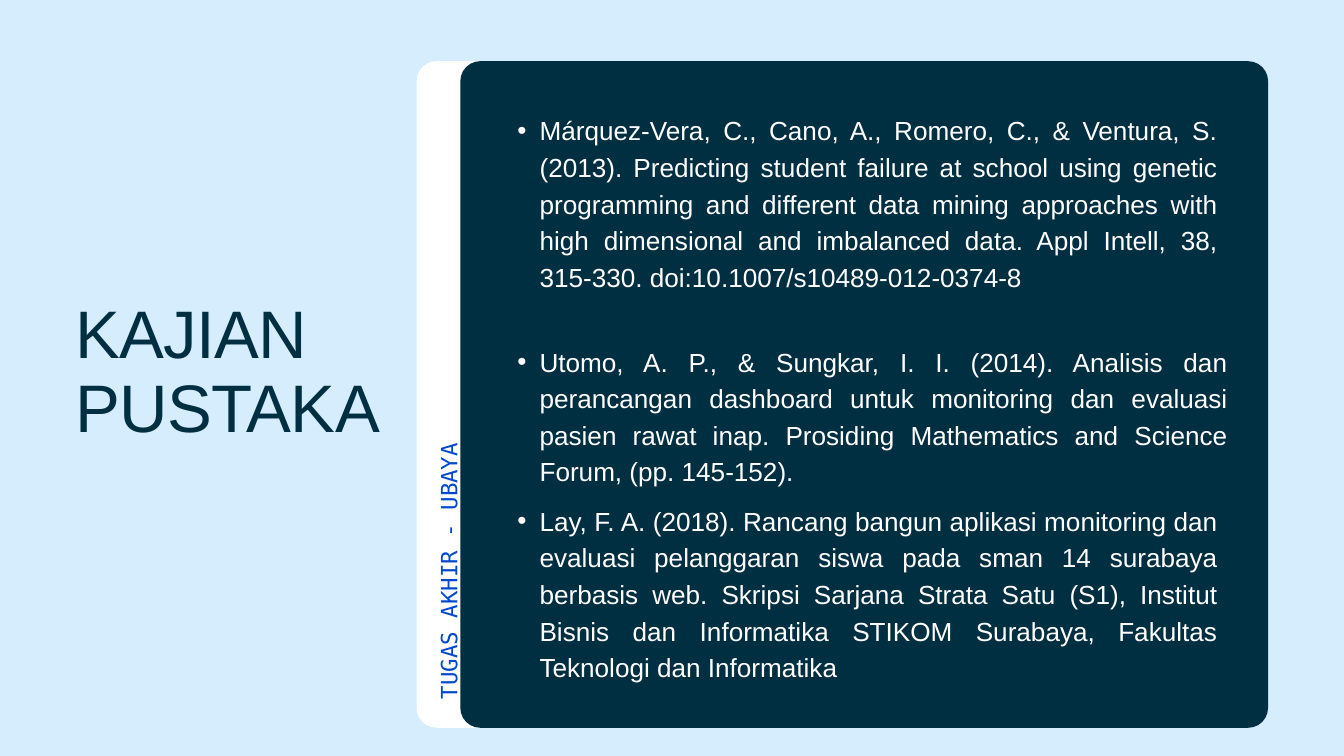
"""Build the literature review slide: a title, a side label and three references."""
from lxml import etree
from pptx import Presentation, util as u
from pptx.dml.color import RGBColor
from pptx.enum import shapes, text
from pptx.oxml.ns import qn

WIDE, HIGH = 20, 11.25
HUES = {"sky": "D5EDFC", "navy": "002F42", "white": "FFFFFF", "blue": "0048CD"}

TITLE = ["KAJIAN", "PUSTAKA"]
LABEL = ["TUGAS AKHIR - UBAYA"]
# Left, top, width and height are percentages of the slide.
PANELS = [("white", 31, 62.65), ("navy", 34.25, 60.1)]
REFS = [
    ("Utomo, A. P., & Sungkar, I. I. (2014). Analisis dan perancangan dashboard untuk "
     "monitoring dan evaluasi pasien rawat inap. Prosiding Mathematics and Science Forum, "
     "(pp. 145-152).", 45.07, 54.45, 19.02),
    ("Márquez-Vera, C., Cano, A., Romero, C., & Ventura, S. (2013). Predicting student "
     "failure at school using genetic programming and different data mining approaches with "
     "high dimensional and imbalanced data. Appl Intell, 38, 315-330. "
     "doi:10.1007/s10489-012-0374-8", 14.49, 53.7, 28.71),
    ("Lay, F. A. (2018). Rancang bangun aplikasi monitoring dan evaluasi pelanggaran siswa "
     "pada sman 14 surabaya berbasis web. Skripsi Sarjana Strata Satu (S1), Institut Bisnis "
     "dan Informatika STIKOM Surabaya, Fakultas Teknologi dan Informatika", 66.13, 53.7, 23.82),
]


def hue(name):
    return RGBColor.from_string(HUES[name])


def place(left, top, width, height):
    return [u.Inches(share * side / 100)
            for share, side in zip((left, top, width, height), (WIDE, HIGH, WIDE, HIGH))]


def panel(slide, color, left, width):
    card = slide.shapes.add_shape(shapes.MSO_SHAPE.ROUNDED_RECTANGLE,
                                  *place(left, 8.09, width, 88.18))
    card.adjustments[0] = 0.03
    card.shadow.inherit = False
    card.fill.solid()
    card.fill.fore_color.rgb = hue(color)
    card.line.fill.background()


def write(slide, lines, area, size, lead, color, face="Arial"):
    box = slide.shapes.add_textbox(*place(*area))
    frame = box.text_frame
    frame.word_wrap = True
    frame.margin_left = frame.margin_top = frame.margin_right = frame.margin_bottom = 0
    frame.text = "\n".join(lines)
    for para in frame.paragraphs:
        para.line_spacing = u.Pt(lead)
        for run in para.runs:
            run.font.size = u.Pt(size)
            run.font.name = face
            run.font.color.rgb = hue(color)
    return box


def bullet(para):
    para.level = 1
    para.alignment = text.PP_ALIGN.JUSTIFY
    props = para._p.get_or_add_pPr()
    props.set("marL", str(u.Inches(0.66)))
    props.set("indent", str(u.Inches(-0.33)))
    etree.SubElement(props, qn("a:buFont")).set("typeface", "Arial")
    etree.SubElement(props, qn("a:buChar")).set("char", "•")


def main():
    deck = Presentation()
    deck.slide_width, deck.slide_height = u.Inches(WIDE), u.Inches(HIGH)
    slide = deck.slides.add_slide(deck.slide_layouts[6])
    slide.background.fill.solid()
    slide.background.fill.fore_color.rgb = hue("sky")

    title = write(slide, TITLE, (5.6, 39.38, 31.2, 19.73), 72, 79.2, "navy")
    for para in title.text_frame.paragraphs:
        para.runs[0]._r.get_or_add_rPr().set("spc", "-70")
    for card in PANELS:
        panel(slide, *card)
    label = write(slide, LABEL, (15.3, 58.76, 35.7, 4), 24, 33.6, "blue", "DejaVu Sans Mono")
    label.rotation = 270
    for words, top, width, height in REFS:
        box = write(slide, [words], (36.85, top, width, height), 28, 39.2, "white")
        bullet(box.text_frame.paragraphs[0])
    deck.save("out.pptx")


if __name__ == "__main__":
    main()
